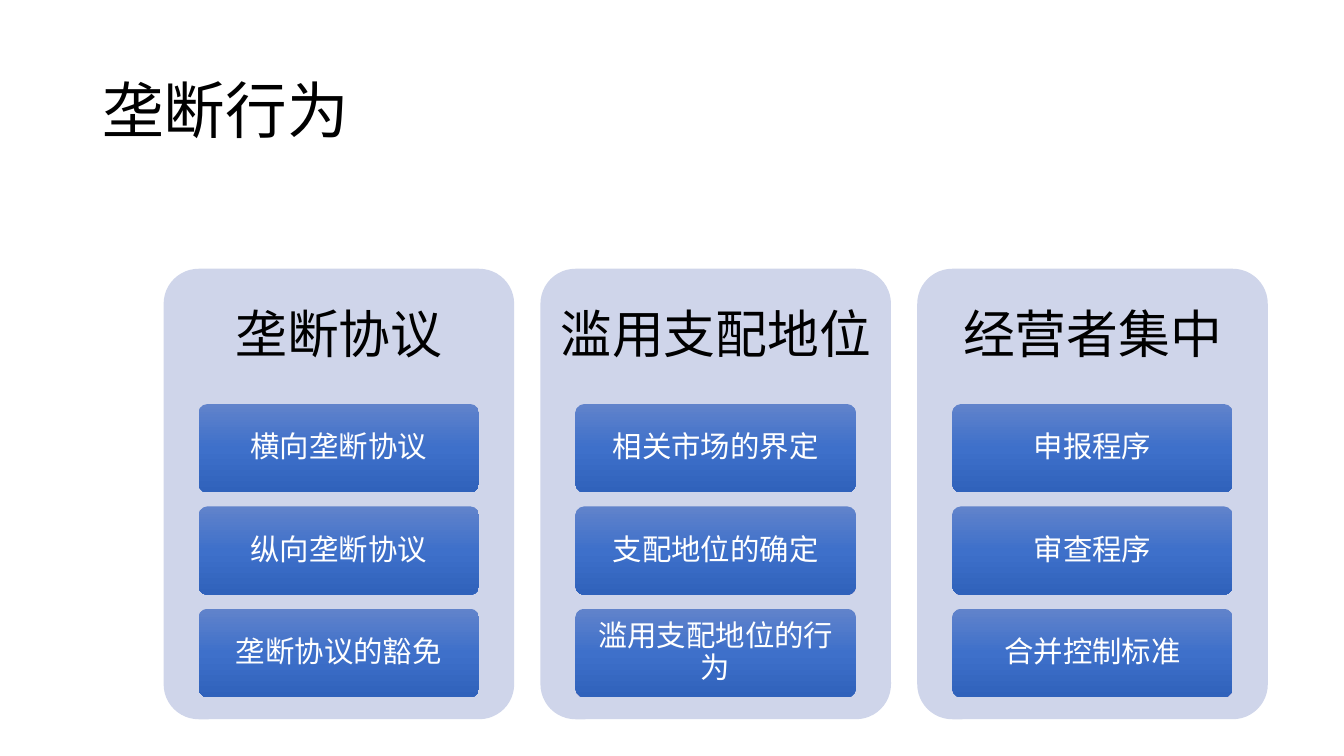
from copy import deepcopy

from pptx import Presentation
from pptx.dml.color import RGBColor
from pptx.enum.shapes import MSO_SHAPE
from pptx.enum.text import MSO_ANCHOR, PP_ALIGN
from pptx.oxml.ns import qn
from pptx.util import Pt

ROUNDED = MSO_SHAPE.ROUNDED_RECTANGLE
MIDDLE = MSO_ANCHOR.MIDDLE
LEFT, CENTER = PP_ALIGN.LEFT, PP_ALIGN.CENTER

PANEL_LEFT, PANEL_TOP, PANEL_WIDTH, PANEL_HEIGHT = 116.9, 192, 250.4, 321.8
PANEL_PITCH = 269.15
HEADING_HEIGHT = 96.5
ITEM_INDENT, ITEM_TOP, ITEM_WIDTH, ITEM_HEIGHT = 25, 288.6, 200.3, 63.2
ITEM_PITCH = 73.1
ITEM_GRADIENT = [(0, "6183CB"), (0.5, "3E70CA"), (1, "3062BB")]

TOPICS = {
    "垄断协议": ["横向垄断协议", "纵向垄断协议", "垄断协议的豁免"],
    "滥用支配地位": ["相关市场的界定", "支配地位的确定", "滥用支配地位的行为"],
    "经营者集中": ["申报程序", "审查程序", "合并控制标准"],
}


def color(value):
    return RGBColor.from_string(value)


def write(holder, text, size, text_color, align, inset_x, inset_y):
    frame = holder.text_frame
    frame_format = {
        "word_wrap": True,
        "vertical_anchor": MIDDLE,
        "margin_left": Pt(inset_x),
        "margin_right": Pt(inset_x),
        "margin_top": Pt(inset_y),
        "margin_bottom": Pt(inset_y),
    }
    for key, value in frame_format.items():
        setattr(frame, key, value)
    paragraph = frame.paragraphs[0]
    paragraph.text = text
    paragraph.alignment = align
    paragraph.line_spacing = 0.9
    font = paragraph.runs[0].font
    font.name = "Calibri"
    font.size = Pt(size)
    font.color.rgb = color(text_color)


prs = Presentation()
prs.slide_width = Pt(960)
prs.slide_height = Pt(540)
slide = prs.slides.add_slide(prs.slide_layouts[6])
shapes = slide.shapes

title = shapes.add_textbox(Pt(66), Pt(28.75), Pt(828), Pt(104.4))
write(title, "垄断行为", 44, "000000", LEFT, 7.2, 3.6)

for column, (topic, items) in enumerate(TOPICS.items()):
    left = PANEL_LEFT + column * PANEL_PITCH
    panel = shapes.add_shape(ROUNDED, Pt(left), Pt(PANEL_TOP), Pt(PANEL_WIDTH), Pt(PANEL_HEIGHT))
    panel.adjustments[0] = 0.1
    panel.shadow.inherit = False
    panel.fill.solid()
    panel.fill.fore_color.rgb = color("CFD5EA")
    panel.line.fill.background()

    heading = shapes.add_textbox(Pt(left), Pt(PANEL_TOP), Pt(PANEL_WIDTH), Pt(HEADING_HEIGHT))
    write(heading, topic, 37, "000000", CENTER, 10.8, 10.8)

    for row, item in enumerate(items):
        top = ITEM_TOP + row * ITEM_PITCH
        card = shapes.add_shape(ROUNDED, Pt(left + ITEM_INDENT), Pt(top), Pt(ITEM_WIDTH), Pt(ITEM_HEIGHT))
        card.adjustments[0] = 0.1
        card.shadow.inherit = False
        card.line.fill.background()
        card.fill.gradient()
        card.fill.gradient_angle = 270
        stop_list = card.element.spPr.find(qn("a:gradFill")).find(qn("a:gsLst"))
        stop_list.insert(1, deepcopy(stop_list[0]))
        for stop, (position, stop_color) in zip(card.fill.gradient_stops, ITEM_GRADIENT):
            stop.position = position
            stop.color.rgb = color(stop_color)
        write(card, item, 21, "FFFFFF", CENTER, 4.2, 3.15)

prs.save("out.pptx")
